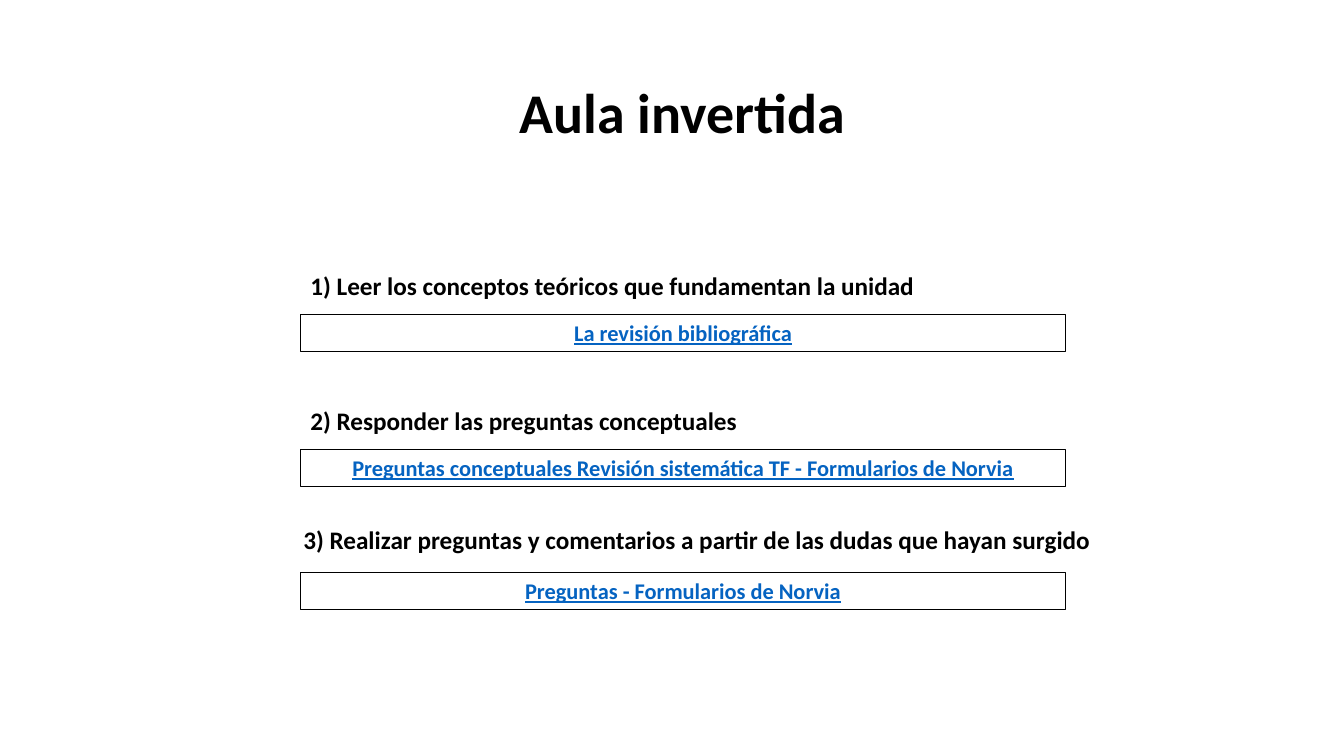
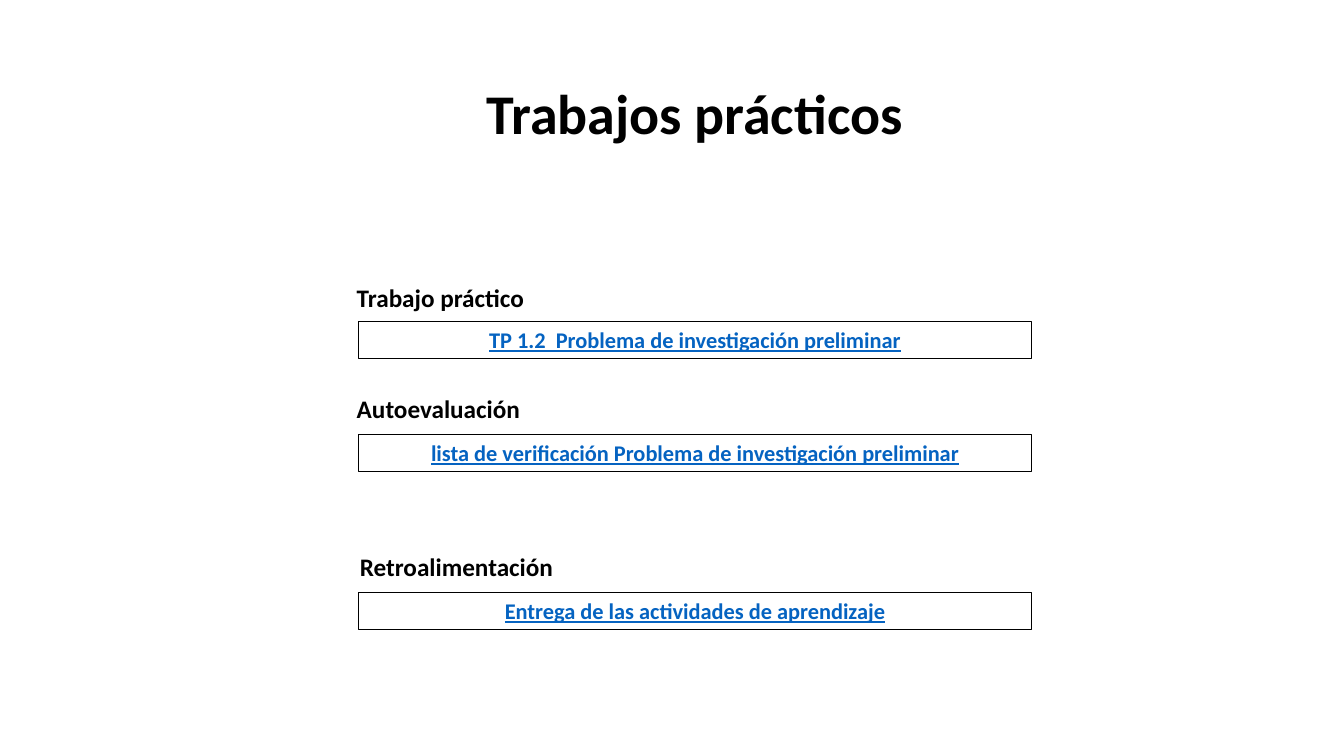
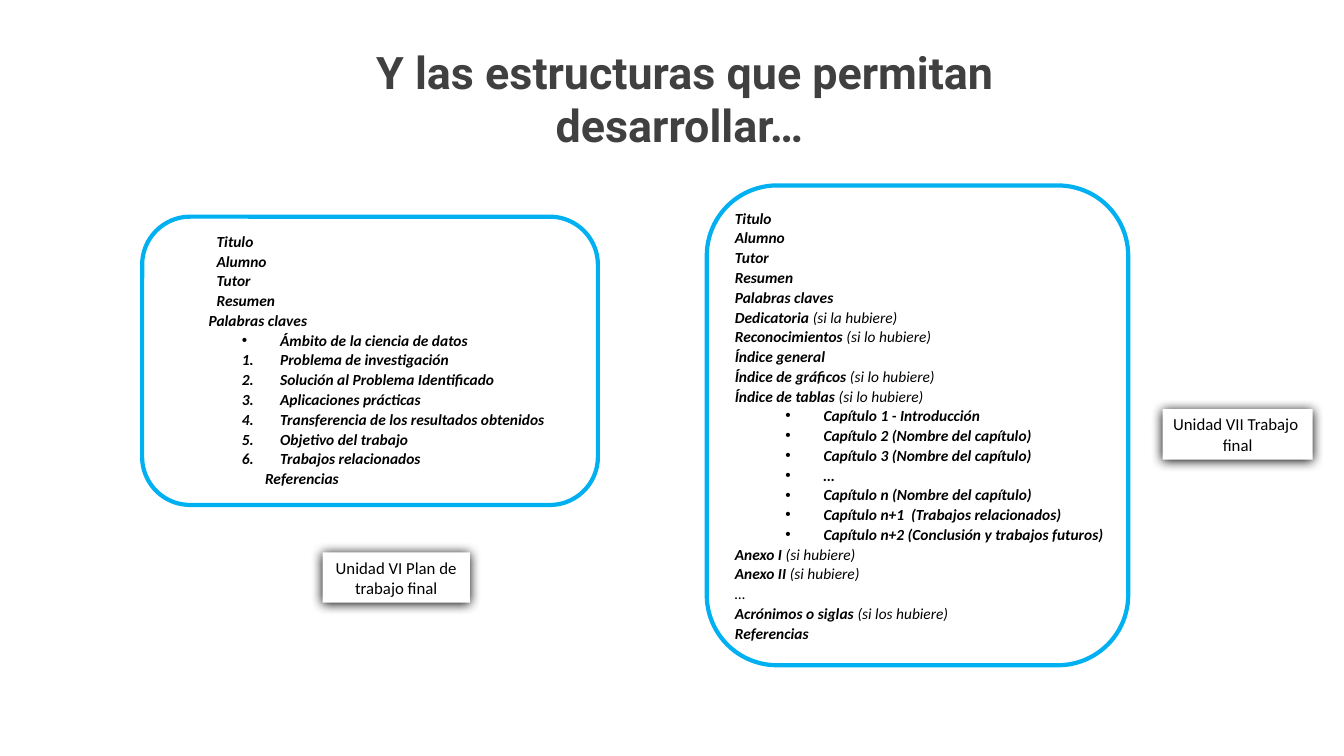
import dataclasses

import lxml.etree
import pptx
import pptx.dml.color
import pptx.enum.shapes
import pptx.enum.text
import pptx.oxml.ns
import pptx.util

Inches = pptx.util.Inches
Align = pptx.enum.text.PP_ALIGN
Anchor = pptx.enum.text.MSO_ANCHOR
Shapes = pptx.enum.shapes.MSO_SHAPE


@dataclasses.dataclass(frozen=True)
class Style:
    """Look of a paragraph."""

    size: int
    color: str = "000000"
    bold: bool = True
    italic: bool = False
    underline: bool = False
    name: str = "Calibri"
    align: Align = Align.LEFT
    spacing: float = 1.0


@dataclasses.dataclass(frozen=True)
class Theme:
    """Colours and text styles of the deck."""

    paper: str = "FFFFFF"
    ink: str = "000000"
    frame: str = "00B0F0"
    title: Style = Style(40, align=Align.CENTER, spacing=0.9)
    closing_title: Style = Style(32, "404040", name="Roboto", align=Align.CENTER)
    heading: Style = Style(18)
    link: Style = Style(16, "0563C1", underline=True, align=Align.CENTER)
    tag: Style = Style(12, bold=False, align=Align.CENTER)
    outline: Style = Style(11, italic=True, align=Align.JUSTIFY, spacing=1.07)


@dataclasses.dataclass(frozen=True)
class Entry:
    """One line of an outline."""

    text: str
    note: str = ""
    mark: str = ""
    indent: float = 0
    bold: bool = True


THEME = Theme()

STEPS = [
    ("1) Leer los conceptos teóricos que fundamentan la unidad",
     "La revisión bibliográfica", 2.98, 2.63, 0.49),
    ("2) Responder las preguntas conceptuales",
     "Preguntas conceptuales Revisión sistemática TF - Formularios de Norvia", 2.98, 3.97, 0.49),
    ("3) Realizar preguntas y comentarios a partir de las dudas que hayan surgido",
     "Preguntas - Formularios de Norvia", 2.91, 5.15, 0.53),
]
TASKS = [
    ("Trabajo práctico", "TP 1.2  Problema de investigación preliminar", 3.44, 2.75, 0.44),
    ("Autoevaluación",
     "lista de verificación Problema de investigación preliminar", 3.44, 3.85, 0.46),
    ("Retroalimentación", "Entrega de las actividades de aprendizaje", 3.47, 5.42, 0.46),
]
PLAN = [
    *[Entry(text, indent=0.25) for text in ("Titulo", "Alumno", "Tutor", "Resumen")],
    Entry("Palabras claves", indent=0.17),
    Entry("Ámbito de la ciencia de datos", mark="bullet"),
    *[Entry(text, mark="number") for text in (
        "Problema de investigación",
        "Solución al Problema Identificado",
        "Aplicaciones prácticas",
        "Transferencia de los resultados obtenidos",
        "Objetivo del trabajo",
        "Trabajos relacionados",
    )],
    Entry("Referencias", indent=0.73),
]
FINAL_WORK = [
    *[Entry(text) for text in ("Titulo", "Alumno", "Tutor", "Resumen", "Palabras claves")],
    Entry("Dedicatoria ", "(si la hubiere)"),
    Entry("Reconocimientos ", "(si lo hubiere)"),
    Entry("Índice general"),
    Entry("Índice de gráficos ", "(si lo hubiere)"),
    Entry("Índice de tablas ", "(si lo hubiere)"),
    *[Entry(text, mark="bullet") for text in (
        "Capítulo 1 - Introducción",
        "Capítulo 2 (Nombre del capítulo)",
        "Capítulo 3 (Nombre del capítulo)",
        "…",
        "Capítulo n (Nombre del capítulo)",
        "Capítulo n+1  (Trabajos relacionados)",
        "Capítulo n+2 (Conclusión y trabajos futuros)",
    )],
    Entry("Anexo I ", "(si hubiere)"),
    Entry("Anexo II ", "(si hubiere)"),
    Entry("…", bold=False),
    Entry("Acrónimos o siglas ", "(si los hubiere)"),
    Entry("Referencias"),
]


def rgb(value):
    """Return a colour from its hexadecimal value."""
    return pptx.dml.color.RGBColor.from_string(value)


def add_element(parent, tag, **attributes):
    """Append a drawing element to its parent."""
    values = {key: str(value) for key, value in attributes.items()}
    return lxml.etree.SubElement(parent, pptx.oxml.ns.qn(tag), values)


def format_para(para, style):
    """Apply a style to a paragraph."""
    para.alignment = style.align
    para.line_spacing = style.spacing
    font = para.font
    font.name = style.name
    font.size = pptx.util.Pt(style.size)
    font.bold = style.bold
    font.italic = style.italic
    font.underline = style.underline
    font.color.rgb = rgb(style.color)


def write(box, text, style, anchor=Anchor.TOP):
    """Put styled text in a box, one paragraph a line."""
    frame = box.text_frame
    frame.word_wrap = True
    frame.vertical_anchor = anchor
    frame.auto_size = pptx.enum.text.MSO_AUTO_SIZE.NONE
    frame.text = text
    for para in frame.paragraphs:
        format_para(para, style)


def add_box(page, kind, bounds, fill=None, line=None, weight=0.75):
    """Add a preset shape with optional fill and line."""
    box = page.shapes.add_shape(kind, *map(Inches, bounds))
    box.shadow.inherit = False
    if fill:
        box.fill.solid()
        box.fill.fore_color.rgb = rgb(fill)
    else:
        box.fill.background()
    if line:
        box.line.color.rgb = rgb(line)
        box.line.width = pptx.util.Pt(weight)
    else:
        box.line.fill.background()
    return box


def add_page(deck, text, bounds, style=THEME.title, anchor=Anchor.MIDDLE):
    """Add a title-only page and format its title."""
    page = deck.slides.add_slide(deck.slide_layouts[5])
    title = page.shapes.title
    title.left, title.top, title.width, title.height = map(Inches, bounds)
    write(title, text, style, anchor)
    return page


def add_link_step(page, heading, link, bounds, bar_left, bar_width, bar_drop):
    """Add a heading with a framed link below it."""
    label = page.shapes.add_textbox(*map(Inches, bounds))
    write(label, heading, THEME.heading)
    bar_bounds = (bar_left, bounds[1] + bar_drop, bar_width, 0.37)
    bar = add_box(page, Shapes.RECTANGLE, bar_bounds, line=THEME.ink)
    write(bar, link, THEME.link)


def build_links(deck, title, title_bounds, steps, bar_left, bar_width, label_width):
    """Build a page of headings and framed links."""
    page = add_page(deck, title, title_bounds)
    for heading, link, left, top, drop in steps:
        bounds = (left, top, label_width, 0.4)
        add_link_step(page, heading, link, bounds, bar_left, bar_width, drop)


def format_entry(para, entry):
    """Write one outline entry with its indent and mark."""
    properties = para._p.get_or_add_pPr()
    properties.set("marL", str(Inches(0.88 if entry.mark else entry.indent)))
    properties.set("indent", str(Inches(-0.38 if entry.mark else 0)))
    if entry.mark:
        para.level = 1
        add_element(properties, "a:buFont", typeface="Arial" if entry.mark == "bullet" else "+mj-lt")
        if entry.mark == "bullet":
            add_element(properties, "a:buChar", char="•")
        else:
            add_element(properties, "a:buAutoNum", type="arabicPeriod")
    format_para(para, dataclasses.replace(THEME.outline, bold=entry.bold))
    para.add_run().text = entry.text
    if entry.note:
        span = para.add_run()
        span.text = entry.note
        span.font.bold = False


def add_outline(page, entries, bounds, inset):
    """Add a rounded frame holding an outline."""
    left, top, width, height = bounds
    inset_left, inset_top, text_width, text_height = inset
    box = page.shapes.add_textbox(
        *map(Inches, (left + inset_left, top + inset_top, text_width, text_height)))
    frame = box.text_frame
    frame.word_wrap = True
    for index, entry in enumerate(entries):
        format_entry(frame.add_paragraph() if index else frame.paragraphs[0], entry)
    add_box(page, Shapes.ROUNDED_RECTANGLE, bounds, line=THEME.frame, weight=3)


def add_tag(page, text, bounds):
    """Add a white label with a soft shadow."""
    box = add_box(page, Shapes.RECTANGLE, bounds, fill=THEME.paper)
    effects = box._element.spPr.find(pptx.oxml.ns.qn("a:effectLst"))
    shadow = add_element(effects, "a:outerShdw", blurRad=pptx.util.Pt(8.5),
                         dist=pptx.util.Pt(1), dir=90 * 60000, rotWithShape=0)
    add_element(shadow, "a:srgbClr", val=THEME.ink)
    write(box, text, THEME.tag)


def build_structures(deck):
    """Build the page comparing the two document outlines."""
    page = add_page(deck, "Y las estructuras que permitan desarrollar… ",
                    (2.65, 0.39, 8.29, 0.64), THEME.closing_title, Anchor.TOP)
    add_outline(page, PLAN, (1.41, 2.15, 4.52, 2.86), (0.39, 0.09, 3.92, 2.67))
    add_outline(page, FINAL_WORK, (7.01, 1.84, 4.18, 4.76), (0.18, 0.17, 3.9, 4.59))
    add_tag(page, "Unidad VI Plan de trabajo final", (3.2, 5.48, 1.46, 0.5))
    add_tag(page, "Unidad VII Trabajo \nfinal", (11.53, 4.06, 1.49, 0.5))


def main():
    """Build and save the deck."""
    deck = pptx.Presentation()
    deck.slide_width, deck.slide_height = Inches(13.33), Inches(7.5)
    build_links(deck, "Aula invertida", (1.16, 0.42, 11.22, 1.45), STEPS, 2.98, 7.59, 8.24)
    build_links(deck, "Trabajos prácticos", (1.28, 0.43, 11.22, 1.45), TASKS, 3.56, 6.67, 2.34)
    build_structures(deck)
    deck.save("out.pptx")


if __name__ == "__main__":
    main()
